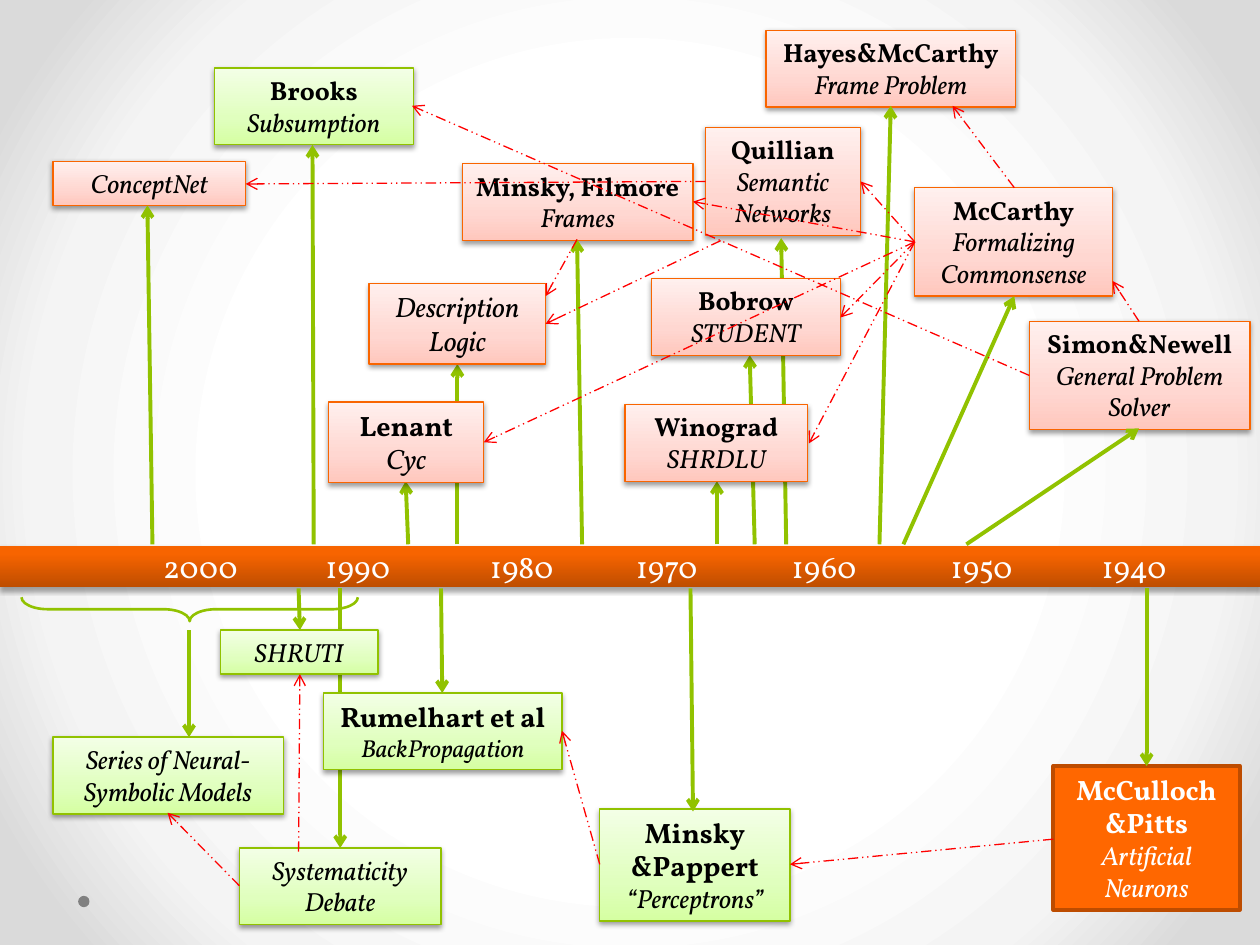
from dataclasses import dataclass

from lxml import etree
from pptx import Presentation
from pptx.dml.color import RGBColor
from pptx.enum.dml import MSO_LINE
from pptx.enum.shapes import MSO_CONNECTOR, MSO_SHAPE
from pptx.enum.text import MSO_ANCHOR, MSO_AUTO_SIZE, PP_ALIGN
from pptx.oxml.ns import qn
from pptx.util import Pt

PX = 9144  # 100 px to the inch
RECT, OVAL, BRACE = MSO_SHAPE.RECTANGLE, MSO_SHAPE.OVAL, MSO_SHAPE.RIGHT_BRACE
STRAIGHT = MSO_CONNECTOR.STRAIGHT
DASH = MSO_LINE.DASH_DOT_DOT
LEFT, CENTER = PP_ALIGN.LEFT, PP_ALIGN.CENTER
TOP, MIDDLE = MSO_ANCHOR.TOP, MSO_ANCHOR.MIDDLE
GROW = MSO_AUTO_SIZE.SHAPE_TO_FIT_TEXT


@dataclass(frozen=True)
class Theme:
    font: str = "Vollkorn"
    small: int = 14
    body: int = 15
    large: int = 16
    year: int = 18
    black: str = "000000"
    white: str = "FFFFFF"
    grey: str = "808080"
    orange: str = "F96500"
    solid: str = "FF6700"
    solid_line: str = "BD4C00"
    green: str = "91C200"
    red: str = "FF0000"
    page: tuple = ((50, "FFFFFF"), (76, "F4F4F4"), (92, "DADADA"))
    pink_fill: tuple = ((0, "FFC7BD"), (35, "FFD7D1"), (100, "FFF0EE"))
    green_fill: tuple = ((0, "D5FFA2"), (35, "E0FFBE"), (100, "F3FFE6"))
    band_fill: tuple = ((0, "BE4D00"), (80, "F76400"), (100, "F86400"))


T = Theme()


def sub(parent, tag, **attrs):
    return etree.SubElement(parent, qn(tag), {k: str(v) for k, v in attrs.items()})


def set_stops(grad, stops, circle=False):
    for child in list(grad):
        grad.remove(child)
    gs_list = sub(grad, "a:gsLst")
    for pos, color in stops:
        sub(sub(gs_list, "a:gs", pos=pos * 1000), "a:srgbClr", val=color)
    if circle:
        sub(sub(grad, "a:path", path="circle"), "a:fillToRect",
            l=50000, t=50000, r=50000, b=50000)
    else:
        sub(grad, "a:lin", ang=270 * 60000, scaled=0)


class TimelineSlide:
    def __init__(self, prs, theme):
        self.t = theme
        self.s = prs.slides.add_slide(prs.slide_layouts[6])

    def background(self):
        self.s.background.fill.gradient()
        set_stops(next(self.s.element.iter(qn("a:gradFill"))), self.t.page, circle=True)

    def shape(self, kind, x, y, w, h, fill=None, line=None, width=0.75, shadow=None):
        sp = self.s.shapes.add_shape(kind, *(v * PX for v in (x, y, w, h)))
        sp.shadow.inherit = False
        if fill is None:
            sp.fill.background()
        elif isinstance(fill, str):
            sp.fill.solid()
            sp.fill.fore_color.rgb = RGBColor.from_string(fill)
        else:
            sp.fill.gradient()
            set_stops(next(sp.element.iter(qn("a:gradFill"))), fill)
        if line:
            sp.line.color.rgb = RGBColor.from_string(line)
            sp.line.width = Pt(width)
        else:
            sp.line.fill.background()
        if shadow:
            dist, alpha = shadow
            effects = sp.element.spPr.find(qn("a:effectLst"))
            outer = sub(effects, "a:outerShdw", blurRad=Pt(3.1), dist=Pt(dist),
                        dir=90 * 60000, rotWithShape=0)
            sub(sub(outer, "a:srgbClr", val=self.t.black), "a:alpha", val=alpha * 1000)
        return sp

    def style(self, p, size, color, bold=False, italic=False):
        for r in p.runs:
            f = r.font
            f.name, f.size, f.bold, f.italic = self.t.font, Pt(size), bold, italic
            f.color.rgb = RGBColor.from_string(color)

    def box(self, kind, x, y, w, h, names, topic, name_size=T.body, topic_size=T.body):
        fill, line, width, color, shadow = BOX_STYLES[kind]
        sp = self.shape(RECT, x, y, w, h, fill, line, width, shadow)
        tf = sp.text_frame
        tf.word_wrap, tf.auto_size, tf.vertical_anchor = True, GROW, TOP
        tf.text = "\n".join([*names, topic])
        for i, p in enumerate(tf.paragraphs):
            p.alignment = CENTER
            is_name = i < len(names)
            self.style(p, name_size if is_name else topic_size, color, is_name, not is_name)

    def band(self, x, y, w, h, years):
        sp = self.shape(RECT, x, y, w, h, self.t.band_fill, shadow=(1.8, 35))
        tf = sp.text_frame
        tf.margin_left = tf.margin_right = 0
        tf.word_wrap, tf.vertical_anchor = True, MIDDLE
        p = tf.paragraphs[0]
        p.text = "".join(f"\t{year}" for year in years)
        p.alignment = LEFT
        tabs = sub(p._p.get_or_add_pPr(), "a:tabLst")
        for center in years.values():
            sub(tabs, "a:tab", pos=center * PX, algn="ctr")
        self.style(p, self.t.year, self.t.white)

    def arrow(self, x1, y1, x2, y2, color, width, dash=None):
        c = self.s.shapes.add_connector(STRAIGHT, *(v * PX for v in (x1, y1, x2, y2)))
        c.line.color.rgb = RGBColor.from_string(color)
        c.line.width = Pt(width)
        if dash:
            c.line.dash_style = dash
        sub(c.element.spPr.find(qn("a:ln")), "a:tailEnd", type="arrow")
        sub(c.element.spPr, "a:effectLst")

    def brace(self, x, y, w, h):
        sp = self.shape(BRACE, x, y, w, h, line=self.t.green, width=1.5)
        sp.rotation = 90
        sp.adjustments[0], sp.adjustments[1] = 1.1, 0.5


# Fill, line, line width, text colour, shadow (distance, opacity)
BOX_STYLES = {
    "symbolic": (T.pink_fill, T.orange, 0.75, T.black, (1.6, 38)),
    "neural": (T.green_fill, T.green, 0.75, T.black, (1.6, 38)),
    "origin": (T.solid, T.solid_line, 2.25, T.white, None),
}
BACK_BOXES = [
    ("symbolic", 817, 255, 175, 86, ["Simon&Newell"], "General Problem Solver"),
    ("symbolic", 726, 149, 157, 86, ["McCarthy"], "Formalizing Commonsense"),
    ("symbolic", 608, 24, 198, 61, ["Hayes&McCarthy"], "Frame Problem"),
    ("symbolic", 560, 101, 123, 86, ["Quillian"], "Semantic Networks"),
    ("symbolic", 42, 128, 153, 35, [], "ConceptNet"),
    ("neural", 170, 54, 158, 61, ["Brooks"], "Subsumption"),
    ("symbolic", 367, 130, 183, 61, ["Minsky, Filmore"], "Frames"),
    ("origin", 836, 608, 148, 114, ["McCulloch", "&Pitts"], "Artificial Neurons", T.large),
    ("neural", 476, 642, 151, 89, ["Minsky", "&Pappert"], "“Perceptrons”", T.large),
    ("neural", 190, 673, 160, 61, [], "Systematicity Debate"),
]
FRONT_BOXES = [
    ("neural", 175, 500, 125, 35, [], "SHRUTI"),
    ("symbolic", 517, 221, 150, 61, ["Bobrow"], "STUDENT"),
    ("symbolic", 496, 321, 145, 61, ["Winograd"], "SHRDLU"),
    ("neural", 257, 550, 189, 61, ["Rumelhart et al"], "BackPropagation", T.large, T.small),
    ("neural", 42, 585, 183, 61, [], "Series of Neural-Symbolic Models"),
    ("symbolic", 293, 225, 140, 64, [], "Description Logic", T.large, T.large),
    ("symbolic", 261, 319, 123, 64, ["Lenant"], "Cyc", T.large, T.large),
]
# Year and the centre of its label
YEARS = {2000: 159, 1990: 284, 1980: 414, 1970: 529, 1960: 654, 1950: 779, 1940: 900}
BAND_TOP, BAND_BOTTOM = 432, 467
# Start x on the band, then the arrow tip
ARROWS_UP = [
    (767, 904, 340), (717, 805, 235), (698, 707, 84), (462, 458, 190), (569, 569, 382),
    (624, 620, 189), (599, 595, 282), (324, 322, 382), (121, 117, 163), (249, 248, 115),
    (363, 363, 289),
]
ARROWS_DOWN = [(910, 910, 608), (548, 550, 644), (350, 351, 550), (270, 270, 673),
               (237, 238, 500)]
MCCARTHY = (726, 192)
INFLUENCES = [
    (904, 255, 883, 223), (805, 149, 756, 84),
    *((*MCCARTHY, *tip) for tip in
      [(683, 144), (667, 252), (642, 352), (550, 160), (384, 351)]),
    (817, 298, 327, 84), (560, 144, 195, 146), (836, 666, 627, 686),
    (476, 686, 446, 580), (237, 676, 238, 535), (190, 703, 133, 645),
    (458, 190, 433, 235), (572, 191, 433, 257),
]


def main():
    prs = Presentation()
    prs.slide_width, prs.slide_height = 1000 * PX, 750 * PX
    slide = TimelineSlide(prs, T)
    slide.background()
    slide.shape(OVAL, 62, 711, 9, 9, T.grey)

    # Boxes behind the arrows, and the time band
    for box in BACK_BOXES:
        slide.box(*box)
    slide.band(0, 433, 1000, 33, YEARS)

    # Arrows from the band to each work
    for start, arrows in ((BAND_TOP, ARROWS_UP), (BAND_BOTTOM, ARROWS_DOWN)):
        for x, tip_x, tip_y in arrows:
            slide.arrow(x, start, tip_x, tip_y, T.green, 2.25)
    slide.brace(141, 350, 19, 267)
    slide.arrow(150, 500, 150, 585, T.green, 2.25)

    # Boxes that cover passing arrows
    for box in FRONT_BOXES:
        slide.box(*box)

    # Dashed arrows of influence
    for ends in INFLUENCES:
        slide.arrow(*ends, T.red, 0.75, DASH)

    prs.save("out.pptx")


if __name__ == "__main__":
    main()
